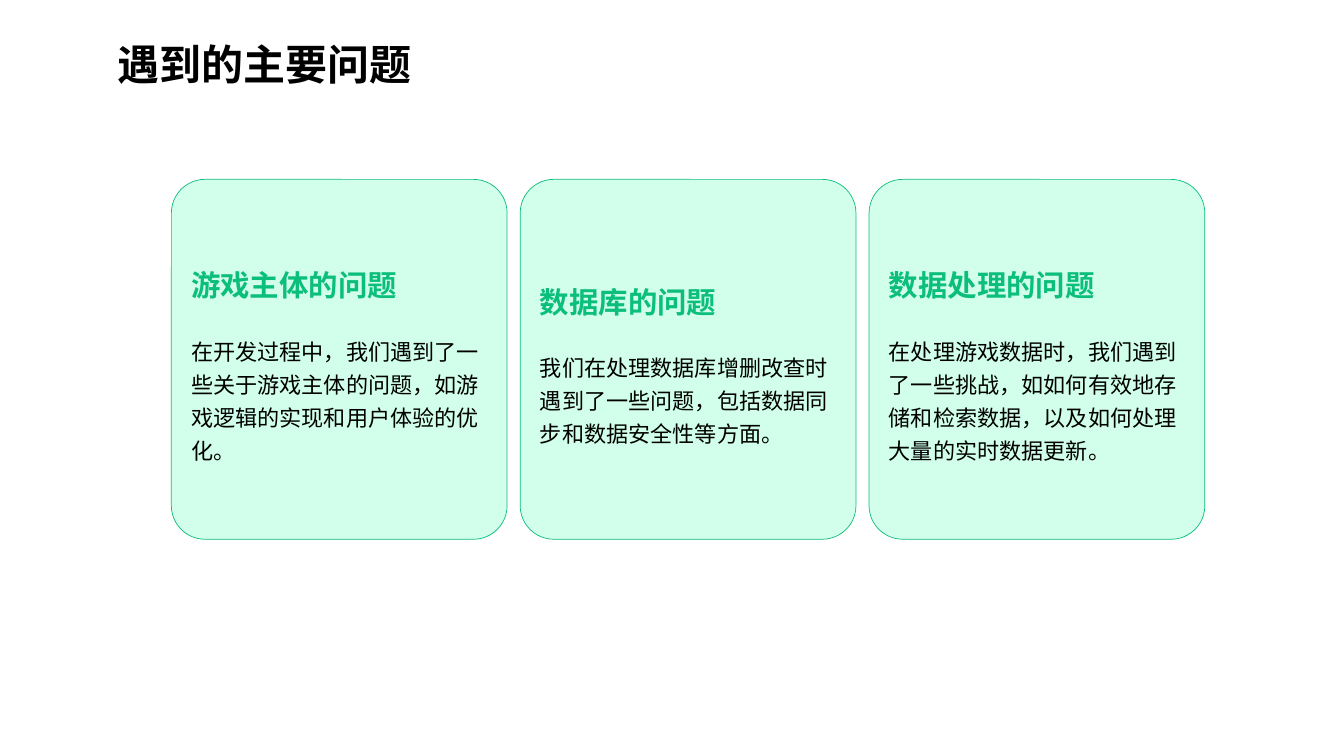
"""Build a slide with three cards on the main problems met."""
from pptx import Presentation
from pptx.dml.color import RGBColor
from pptx.enum.shapes import MSO_SHAPE as SHAPE
from pptx.enum.text import MSO_ANCHOR as ANCHOR, PP_ALIGN as ALIGN
from pptx.oxml.ns import qn
from pptx.util import Inches, Pt
from lxml.etree import SubElement

TITLE = "遇到的主要问题"
CARDS = [
    ("游戏主体的问题",
     "在开发过程中，我们遇到了一些关于游戏主体的问题，如游戏逻辑的实现和用户体验的优化。"),
    ("数据库的问题",
     "我们在处理数据库增删改查时遇到了一些问题，包括数据同步和数据安全性等方面。"),
    ("数据处理的问题",
     "在处理游戏数据时，我们遇到了一些挑战，如如何有效地存储和检索数据，以及如何处理大量的实时数据更新。"),
]
FONT = "Noto Sans CJK SC"
BLACK = RGBColor(0x00, 0x00, 0x00)
GREEN = RGBColor(0x0C, 0xBE, 0x7C)
MINT = RGBColor(0xD1, 0xFF, 0xEB)
LEFT, TOP, WIDTH, HEIGHT, PITCH = 1.7, 1.78, 3.33, 3.57, 3.46
LINE_SPACING = 1.24


def write(p, text, size, color, bold=False):
    p.text = text
    p.alignment = ALIGN.LEFT
    p.font.name = FONT
    p.font.size = Pt(size)
    p.font.bold = bold
    p.font.color.rgb = color
    for r in p.runs:
        r.font.name = FONT
        SubElement(r.font._element, qn("a:ea"), typeface=FONT)


def add_title(s):
    tf = s.shapes.add_textbox(Inches(1.07), Inches(0.15), Inches(10.25), Inches(0.85)).text_frame
    tf.word_wrap = True
    tf.vertical_anchor = ANCHOR.MIDDLE
    p = tf.paragraphs[0]
    write(p, TITLE, 30, BLACK, True)
    p.line_spacing = LINE_SPACING


def add_card(s, left, heading, body):
    sp = s.shapes.add_shape(SHAPE.ROUNDED_RECTANGLE, Inches(left), Inches(TOP),
                            Inches(WIDTH), Inches(HEIGHT))
    sp.adjustments[0] = 0.1
    sp.shadow.inherit = False
    sp.fill.solid()
    sp.fill.fore_color.rgb = MINT
    sp.line.color.rgb = GREEN
    sp.line.width = Pt(0.5)
    tf = sp.text_frame
    tf.word_wrap = True
    tf.vertical_anchor = ANCHOR.MIDDLE
    tf.margin_top = Inches(0.17)
    write(tf.paragraphs[0], heading, 21, GREEN, True)
    p = tf.add_paragraph()
    write(p, body, 15.8, BLACK)
    p.line_spacing = LINE_SPACING
    p.space_before = Pt(21)


def main():
    prs = Presentation()
    prs.slide_width, prs.slide_height = Inches(13.33), Inches(7.5)
    s = prs.slides.add_slide(prs.slide_layouts[6])
    add_title(s)
    for i, (heading, body) in enumerate(CARDS):
        add_card(s, LEFT + i * PITCH, heading, body)
    prs.save("out.pptx")


if __name__ == "__main__":
    main()
